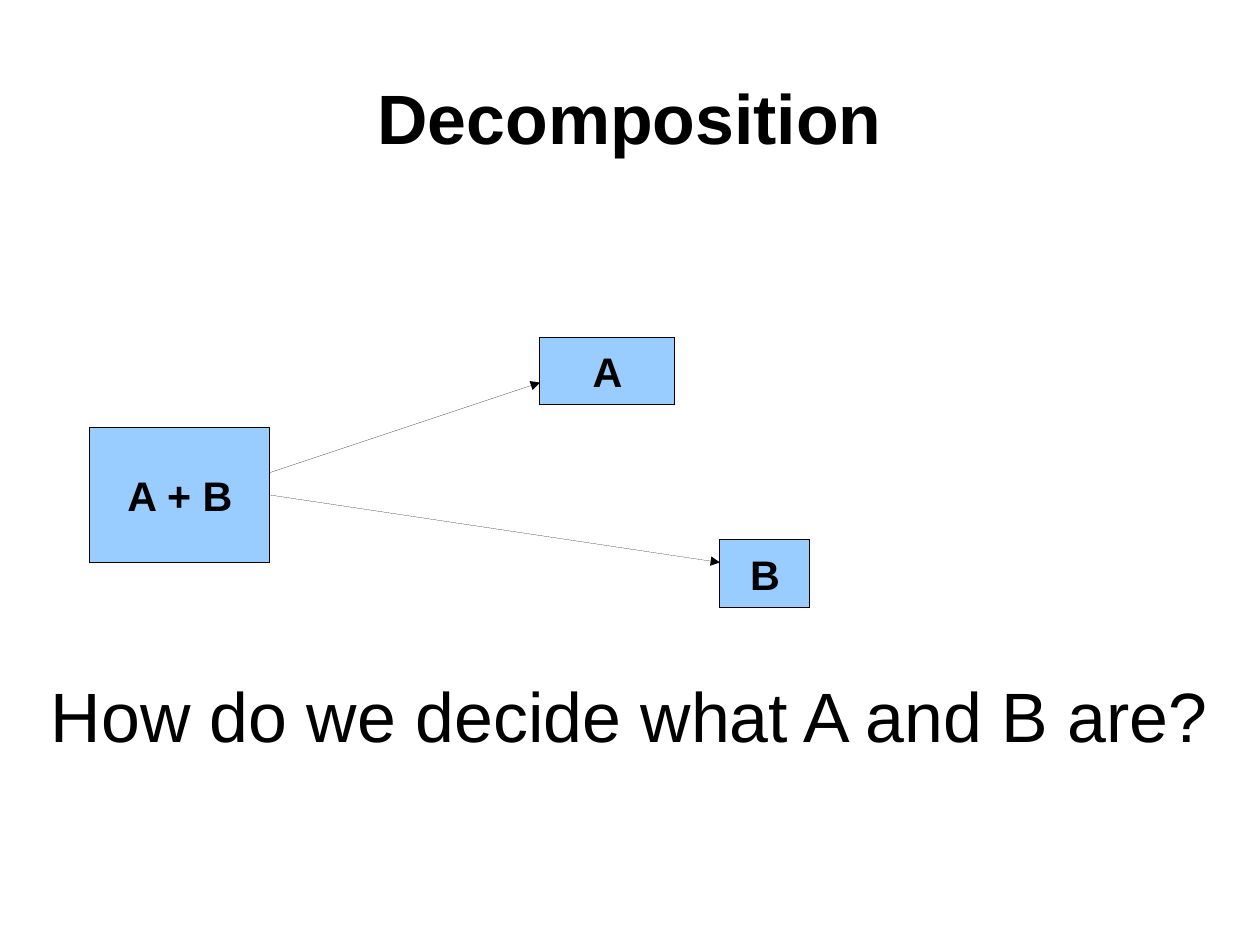
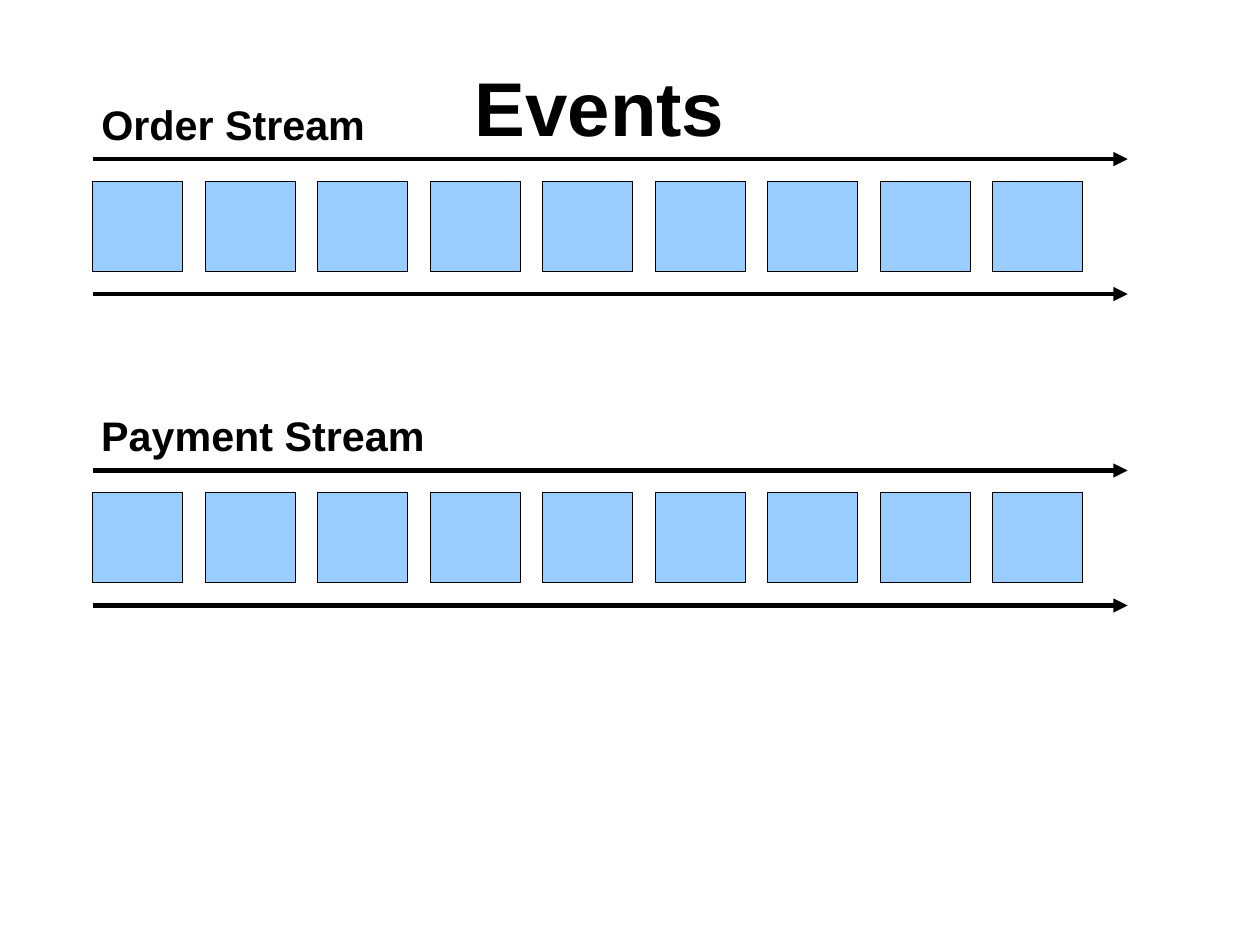
import pptx
import pptx.util
import pptx.dml.color
import pptx.enum.shapes
import pptx.enum.text
import pptx.oxml.ns
import lxml.etree

BLACK = pptx.dml.color.RGBColor(0x00, 0x00, 0x00)
SKY = pptx.dml.color.RGBColor(0x99, 0xCC, 0xFF)
FONT = "Arial"
ALIGN = pptx.enum.text.PP_ALIGN
ANCHOR = pptx.enum.text.MSO_ANCHOR

prs = pptx.Presentation()
prs.slide_width = pptx.util.Cm(28)
prs.slide_height = pptx.util.Cm(21)
COL = prs.slide_width / 56
ROW = prs.slide_height / 42
title_only = prs.slide_layouts[5]


def write(sp, text, size=26, bold=True, align=ALIGN.CENTER, anchor=ANCHOR.MIDDLE,
          wrap=False, inset=True):
    tf = sp.text_frame
    tf.auto_size = pptx.enum.text.MSO_AUTO_SIZE.NONE
    tf.word_wrap = wrap
    tf.vertical_anchor = anchor
    tf.margin_left = tf.margin_right = pptx.util.Inches(0.1 if inset else 0)
    tf.margin_top = tf.margin_bottom = pptx.util.Inches(0.05 if inset else 0)
    p = tf.paragraphs[0]
    p.alignment = align
    r = p.add_run()
    r.text = text
    r.font.name = FONT
    r.font.size = pptx.util.Pt(size)
    r.font.bold = bold
    r.font.color.rgb = BLACK


def draw(shapes, boxes, arrows, weight):
    """Boxes are (col, row, cols, rows, text); arrows are (col, row, col, row)."""
    for col, row, cols, rows, text in boxes:
        sp = shapes.add_shape(pptx.enum.shapes.MSO_SHAPE.RECTANGLE, int(col * COL),
                              int(row * ROW), int(cols * COL), int(rows * ROW))
        sp.shadow.inherit = False
        sp.fill.solid()
        sp.fill.fore_color.rgb = SKY
        sp.line.color.rgb = BLACK
        # A hairline needs an explicit zero width
        sp.line._get_or_add_ln().set("w", "0")
        if text:
            write(sp, text)
    for x1, y1, x2, y2 in arrows:
        cx = shapes.add_connector(pptx.enum.shapes.MSO_CONNECTOR.STRAIGHT, int(x1 * COL),
                                  int(y1 * ROW), int(x2 * COL), int(y2 * ROW))
        cx.line.color.rgb = BLACK
        ln = cx.line._get_or_add_ln()
        ln.set("w", str(int(pptx.util.Pt(weight))))
        lxml.etree.SubElement(ln, pptx.oxml.ns.qn("a:tailEnd"), type="triangle")
        lxml.etree.SubElement(cx._element.spPr, pptx.oxml.ns.qn("a:effectLst"))


# Slides and titles: left, top, width, height in columns and rows
titles = [
    ("Decomposition", (2.8, 1.67, 50.4, 7), dict(size=44, inset=False)),
    ("Events", (17.27, 2.42, 18.75, 5.6), dict(size=48, anchor=ANCHOR.TOP)),
]
for text, (col, row, cols, rows), style in titles:
    s = prs.slides.add_slide(title_only)
    sp = s.shapes.title
    sp.left, sp.top = int(col * COL), int(row * ROW)
    sp.width, sp.height = int(cols * COL), int(rows * ROW)
    write(sp, text, wrap=True, **style)
decomposition, events = prs.slides

# Decomposition: one whole split into two parts, and the question below
draw(decomposition.shapes,
     boxes=[(4, 19, 8, 6, "A + B"), (24, 15, 6, 3, "A"), (32, 24, 4, 3, "B")],
     arrows=[(12, 21, 24, 17), (12, 22, 32, 25)],
     weight=0)
question = decomposition.shapes.add_textbox(int(2 * COL), int(26.55 * ROW),
                                            int(52 * COL), int(10.4 * ROW))
write(question, "How do we decide what A and B are?", size=44, bold=False,
      wrap=True, inset=False)

# Events: each stream is a row of boxes between two arrows, with a label above
LEFT = 4.12
for name, top, cols in [("Order Stream", 7.07, 12.75), ("Payment Stream", 20.91, 15.4)]:
    stream = events.shapes.add_group_shape().shapes
    draw(stream,
         boxes=[(LEFT + 5 * i, top + 1, 4, 4, "") for i in range(9)],
         arrows=[(LEFT, y, LEFT + 46, y) for y in (top, top + 6)],
         weight=3)
    label = stream.add_textbox(int(4 * COL), int((top - 2.92) * ROW),
                               int(cols * COL), int(2.55 * ROW))
    write(label, name, align=ALIGN.LEFT, anchor=ANCHOR.TOP)

prs.save("out.pptx")
